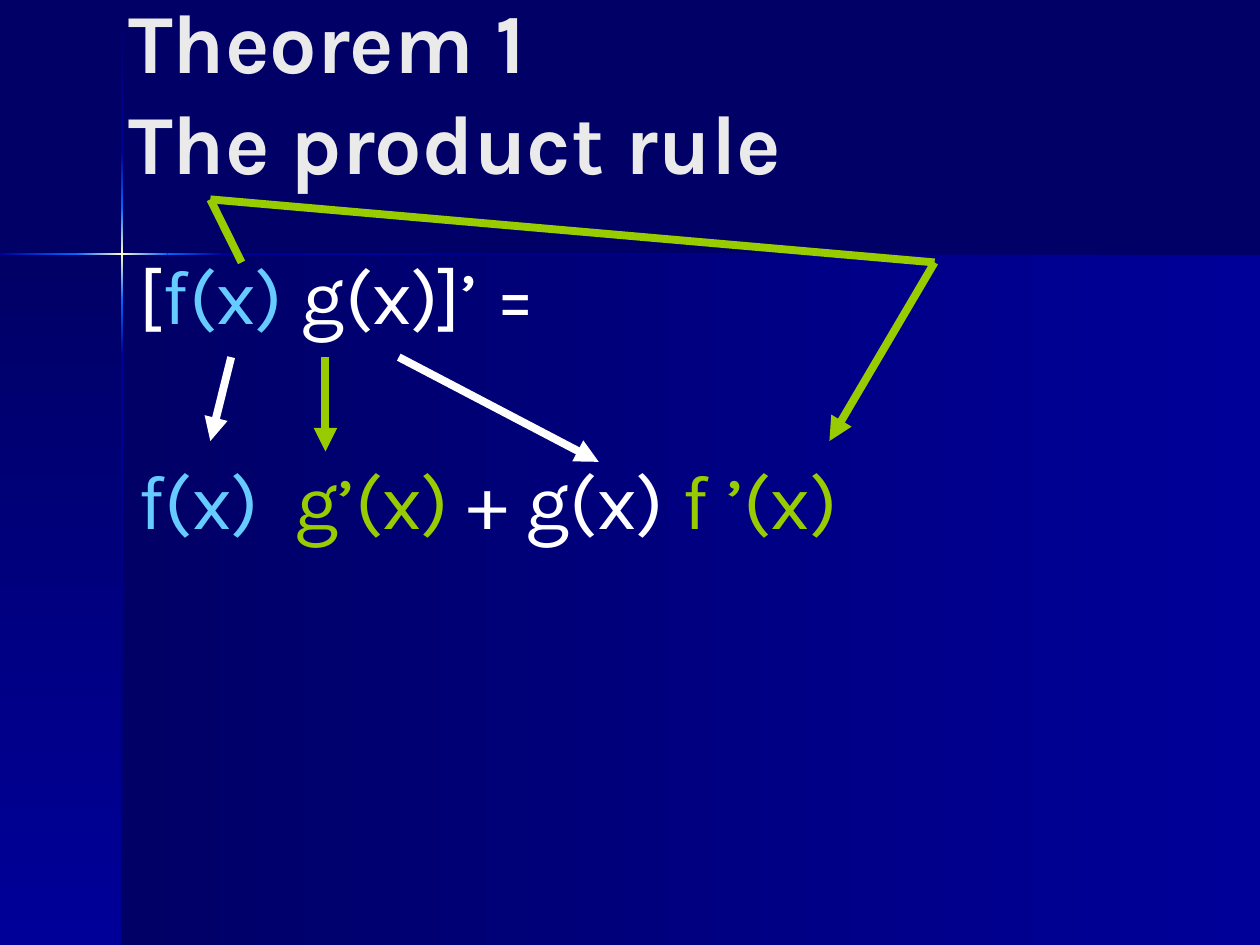
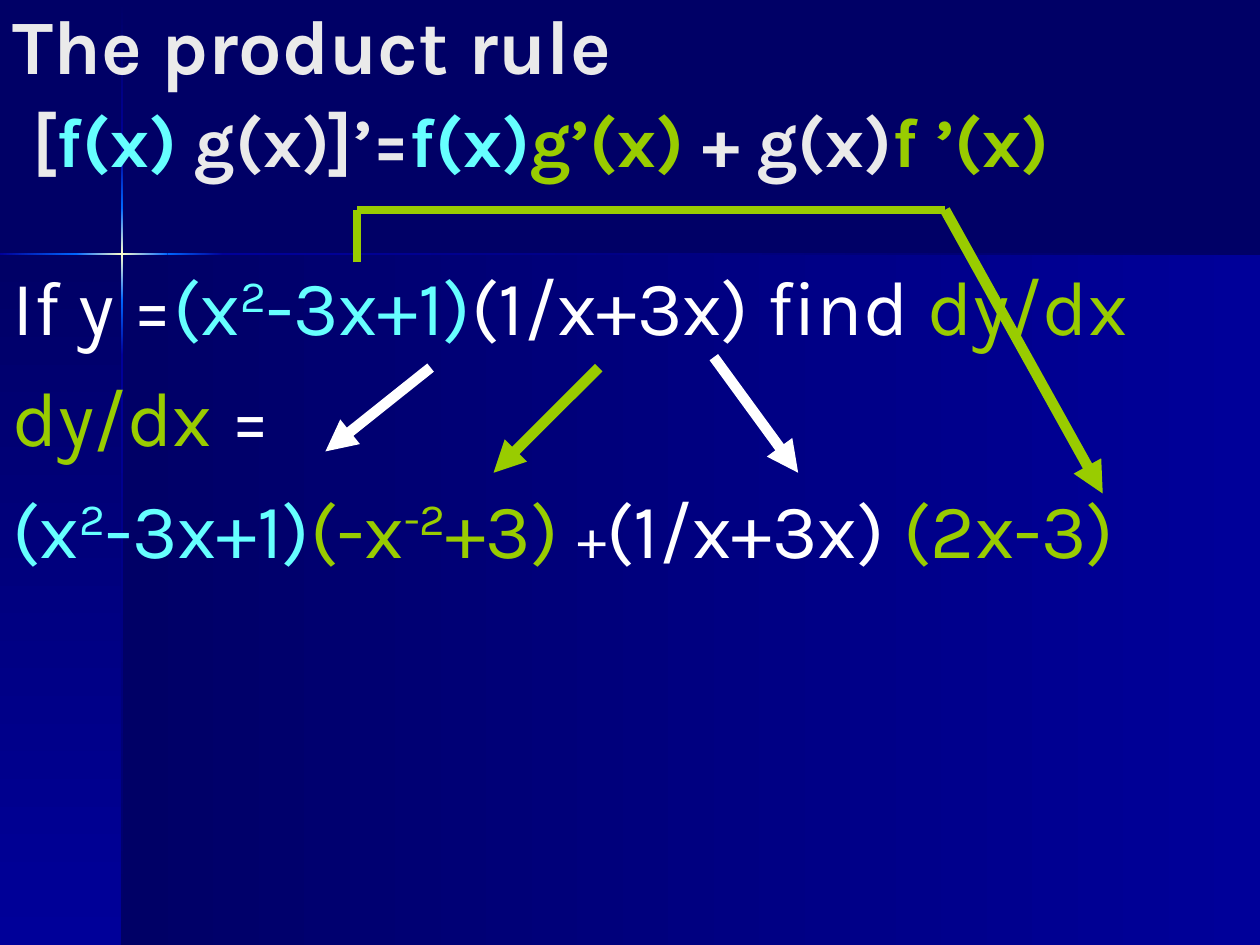
from copy import deepcopy
from itertools import pairwise

from lxml import etree
from pptx import Presentation
from pptx.dml.color import RGBColor
from pptx.enum import shapes, text
from pptx.oxml.ns import qn
from pptx.util import Cm, Pt

FONT = "Karla"
NIGHT, ROYAL, AZURE, CREAM = "000066", "000099", "0066FF", "FFFFCC"
WHITE, SILVER, GREEN = "FFFFFF", "EAEAEA", "99CC00"
SKY, CYAN = "66CCFF", "66FFFF"
PAGE_WIDTH, PAGE_HEIGHT = 25.4, 19.05
RAISED = {"baseline": "30000"}
WIDE = {"spc": "1030"}


def rgb(code):
    return RGBColor.from_string(code)


# Shared backdrop
def add_gradient(group, box, colours, angle):
    bar = group.shapes.add_shape(shapes.MSO_SHAPE.RECTANGLE, *map(Cm, box))
    bar.shadow.inherit = False
    bar.line.fill.background()
    bar.fill.gradient()
    bar.fill.gradient_angle = angle
    stops = bar.element.find(".//" + qn("a:gsLst"))
    if len(colours) == 3:
        stops.insert(1, deepcopy(stops[0]))
        stops[1].set("pos", "50000")
    for stop, colour in zip(bar.fill.gradient_stops, colours):
        stop.color.rgb = rgb(colour)


def add_backdrop(master, page):
    """Draw panels and the glowing cross, then hand them to the master."""
    master.background.fill.solid()
    master.background.fill.fore_color.rgb = rgb(NIGHT)
    group = page.shapes.add_group_shape()
    across, down = 0, 270
    edge_x, edge_y = 2.46, 5.12
    panel_height = PAGE_HEIGHT - edge_y
    add_gradient(group, (edge_x, edge_y, PAGE_WIDTH - edge_x, panel_height),
                 (NIGHT, ROYAL), across)
    add_gradient(group, (0, edge_y, edge_x, panel_height), (NIGHT, ROYAL), down)

    thickness = 0.04
    glow = [(NIGHT, ROYAL), (ROYAL, AZURE), (AZURE, CREAM, AZURE),
            (AZURE, ROYAL), (ROYAL, NIGHT)]
    rows = pairwise((0.02, 3.07, 4.19, 6.05, 7.16, PAGE_HEIGHT))
    for (top, bottom), colours in zip(rows, glow):
        add_gradient(group, (2.44, top, thickness, bottom - top), colours, down)
    columns = pairwise((0, 1.53, 3.38, 4.5, PAGE_WIDTH))
    for (left, right), colours in zip(columns, glow[1:]):
        add_gradient(group, (left, 5.1, right - left, thickness), colours, across)

    for number, node in enumerate(group.element.iter(qn("p:cNvPr")), 100):
        node.set("id", str(number))
    master.shapes.element.insert(2, group.element)


# Text
def place(holder, box, anchor):
    holder.left, holder.top, holder.width, holder.height = map(Cm, box)
    frame = holder.text_frame
    frame.word_wrap = True
    frame.auto_size = text.MSO_AUTO_SIZE.NONE
    frame.vertical_anchor = anchor
    return frame


def add_spans(para, spans, size, bold=False):
    """Fill a paragraph; a span is (text, colour[, size[, attributes]])."""
    para.alignment = text.PP_ALIGN.LEFT
    para.font.name = FONT
    para.font.size = Pt(size)
    para.font.bold = bold
    for words, colour, *extras in spans:
        for index, line in enumerate(words.split("\n")):
            if index:
                para.add_line_break()
            span = para.add_run()
            span.text = line
            span.font.color.rgb = rgb(colour)
            if extras and extras[0]:
                span.font.size = Pt(extras[0])
            if len(extras) > 1:
                span._r.get_or_add_rPr().attrib.update(extras[1])


def add_title(page, box, spans, size):
    frame = place(page.shapes.title, box, text.MSO_ANCHOR.BOTTOM)
    add_spans(frame.paragraphs[0], spans, size, bold=True)


def add_formulas(page, box, formulas, gap, line_spacing=1.0):
    frame = place(page.placeholders[1], box, text.MSO_ANCHOR.TOP)
    for index, spans in enumerate(formulas):
        para = frame.add_paragraph() if index else frame.paragraphs[0]
        add_spans(para, spans, 44)
        para.line_spacing = line_spacing
        para.space_before = Pt(gap if index else 0)


# Arrows, measured from the corner of the formula box
def add_line(page, box, start, end, colour, width, arrow=True):
    left, top = box[:2]
    points = (left + start[0], top + start[1], left + end[0], top + end[1])
    line = page.shapes.add_connector(shapes.MSO_CONNECTOR.STRAIGHT, *map(Cm, points))
    line.line.color.rgb = rgb(colour)
    line.line.width = Pt(width)
    if arrow:
        etree.SubElement(line.line._get_or_add_ln(), qn("a:tailEnd"), type="triangle")
    etree.SubElement(line.element.spPr, qn("a:effectLst"))


def add_detour(page, box, start, corners, end, end_width):
    """Lead from a factor over the formula and down to its derivative."""
    for here, there in pairwise((start, *corners)):
        add_line(page, box, here, there, GREEN, 4.5, arrow=False)
    add_line(page, box, corners[-1], end, GREEN, end_width)


# Slides
def build_theorem(page):
    add_title(page, (2.33, 0, 22.43, 3.99),
              [("Theorem 1 \nThe product rule", SILVER)], 48)
    box = (2.54, 5.08, 21.16, 6.55)
    formulas = [
        [("[", WHITE), ("f(x)", SKY), (" g(x)]’ =", WHITE)],
        [("f(x)", SKY), (" ", SKY, None, WIDE), ("g’(x)", GREEN),
         (" + g(x) ", WHITE), ("f ’(x)", GREEN)],
    ]
    add_formulas(page, box, formulas, gap=69.5, line_spacing=0.9)
    for start, end, colour in [
        ((2.12, 2.12), (1.7, 3.81), WHITE),
        ((5.5, 2.12), (9.53, 4.23), WHITE),
        ((4.02, 2.12), (4.02, 4.02), GREEN),
    ]:
        add_line(page, box, start, end, colour, 4.5)
    add_detour(page, box, (2.33, 0.21), [(1.7, -1.06), (16.3, 0.21)], (14.18, 3.81), 4.5)


def build_example(page):
    add_title(page, (0, 0, 24.97, 3.81), [
        ("The product rule\n ", SILVER, 44), ("[", SILVER), ("f(x)", CYAN),
        (" g(x)]’=", SILVER), ("f(x)", CYAN), ("g’(x)", GREEN),
        (" + g(x)", SILVER), ("f ’(x)", GREEN)], 40)
    box = (0, 5.08, PAGE_WIDTH, 7.19)
    first_factor = [("(x", CYAN), ("2", CYAN, None, RAISED), ("-3x+1)", CYAN)]
    formulas = [
        [("If y =", WHITE), *first_factor, ("(1/x+3x) find ", WHITE), ("dy/dx", GREEN)],
        [("dy/dx", GREEN), (" =", WHITE)],
        [*first_factor, ("(-x", GREEN), ("-2", GREEN, None, RAISED), ("+3) ", GREEN),
         ("+", WHITE, 32), ("(1/x+3x) ", WHITE), ("(2x-3)", GREEN)],
    ]
    add_formulas(page, box, formulas, gap=11)
    for start, end, colour in [
        ((8.68, 2.33), (6.56, 4.02), WHITE),
        ((14.39, 2.12), (16.09, 4.45), WHITE),
        ((12.07, 2.33), (9.95, 4.45), GREEN),
    ]:
        add_line(page, box, start, end, colour, 6)
    add_detour(page, box, (7.2, 0.21), [(7.2, -0.85), (19.05, -0.85)], (22.23, 4.87), 6)


def main():
    deck = Presentation()
    deck.slide_width, deck.slide_height = Cm(PAGE_WIDTH), Cm(PAGE_HEIGHT)
    layout = deck.slide_layouts[0]
    pages = [deck.slides.add_slide(layout) for _ in range(2)]
    add_backdrop(deck.slide_master, pages[0])
    build_theorem(pages[0])
    build_example(pages[1])
    deck.save("out.pptx")


if __name__ == "__main__":
    main()
